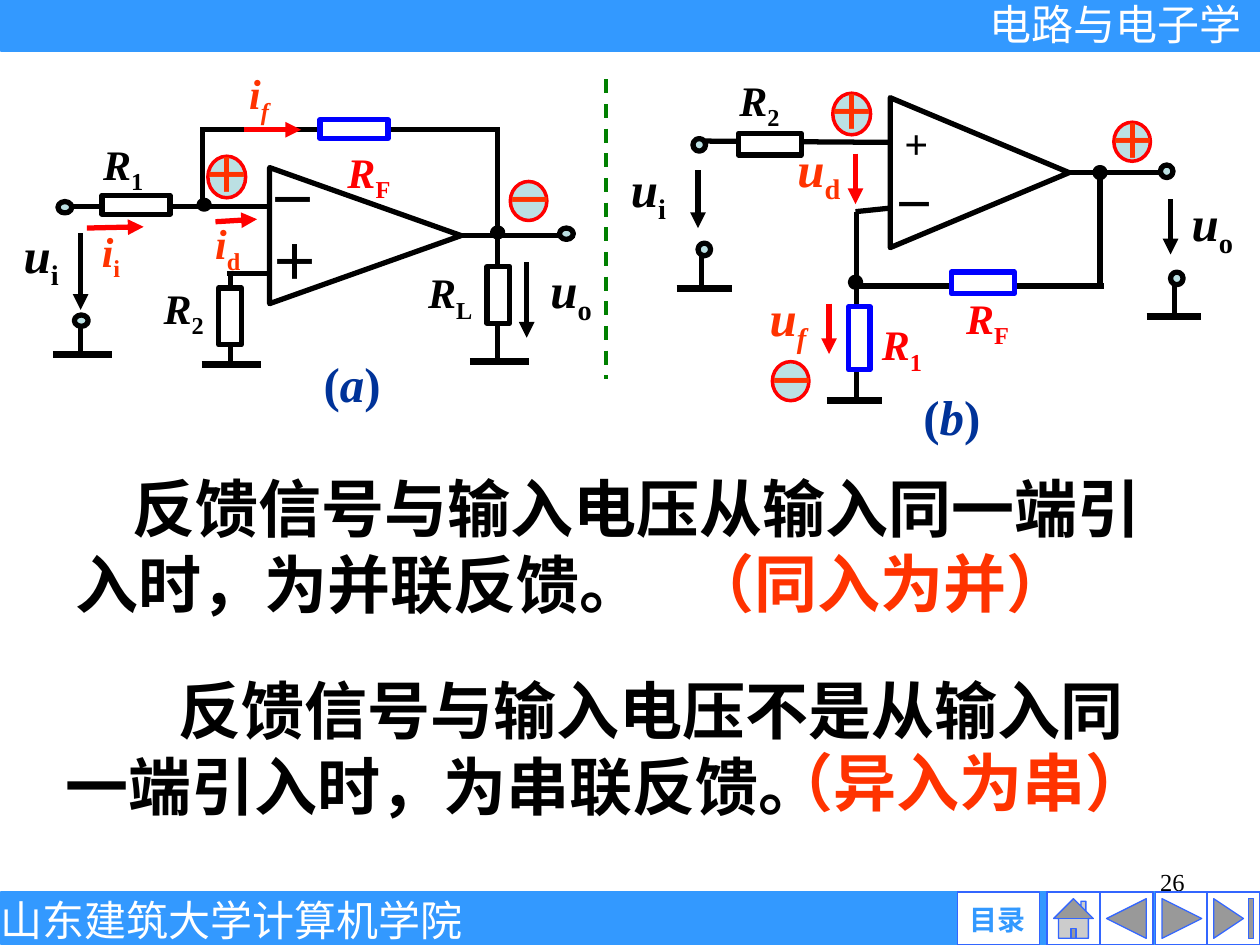
from lxml import etree
from pptx import Presentation
from pptx.dml.color import RGBColor
from pptx.enum.dml import MSO_LINE
from pptx.enum.shapes import MSO_CONNECTOR, MSO_SHAPE
from pptx.enum.text import MSO_ANCHOR, PP_ALIGN
from pptx.oxml.ns import qn
from pptx.util import Inches, Pt

BLACK = RGBColor(0x00, 0x00, 0x00)
WHITE = RGBColor(0xFF, 0xFF, 0xFF)
RED = RGBColor(0xFF, 0x00, 0x00)
ORANGE = RGBColor(0xFF, 0x33, 0x00)
BLUE = RGBColor(0x00, 0x00, 0xFF)
NAVY = RGBColor(0x00, 0x33, 0x99)
SKY = RGBColor(0x33, 0x99, 0xFF)
EDGE = RGBColor(0x33, 0x66, 0xFF)
PALE = RGBColor(0xBB, 0xE0, 0xE3)
GREEN = RGBColor(0x00, 0x80, 0x00)

RECT, OVAL = MSO_SHAPE.RECTANGLE, MSO_SHAPE.OVAL
GATE = MSO_SHAPE.ISOSCELES_TRIANGLE
HOME, BLANK = MSO_SHAPE.ACTION_BUTTON_HOME, MSO_SHAPE.ACTION_BUTTON_CUSTOM
BACK = MSO_SHAPE.ACTION_BUTTON_BACK_OR_PREVIOUS
NEXT = MSO_SHAPE.ACTION_BUTTON_FORWARD_OR_NEXT
END = MSO_SHAPE.ACTION_BUTTON_END
LEFT, MID, RIGHT = PP_ALIGN.LEFT, PP_ALIGN.CENTER, PP_ALIGN.RIGHT
CENTER = MSO_ANCHOR.MIDDLE
STRAIGHT = MSO_CONNECTOR.STRAIGHT
DASH = MSO_LINE.DASH
SERIF, SANS, HAN = "Times New Roman", "Arial", "Noto Sans CJK SC"

deck = Presentation()
deck.slide_width, deck.slide_height = Inches(10), Inches(7.5)
slide = deck.slides.add_slide(deck.slide_layouts[6])


def draw(kind, box, fill, edge, width, turn=0):
    shape = slide.shapes.add_shape(kind, *map(Inches, box))
    shape.shadow.inherit = False
    shape.rotation = turn
    if fill is None:
        shape.fill.background()
    else:
        shape.fill.solid()
        shape.fill.fore_color.rgb = fill
    shape.line.color.rgb = edge
    shape.line.width = Pt(width)


def write(box, runs, size, color, bold=True, font=SERIF, align=LEFT,
          tight=False, wrap=True, indent=0):
    frame = slide.shapes.add_textbox(*map(Inches, box)).text_frame
    frame.word_wrap = wrap
    if tight:
        frame.margin_left = frame.margin_right = 0
        frame.margin_top = frame.margin_bottom = 0
        frame.vertical_anchor = CENTER
    para = frame.paragraphs[0]
    para.alignment = align
    if indent:
        para._p.get_or_add_pPr().set("indent", str(Inches(indent)))
    for text, slant, base in runs:
        run = para.add_run()
        run.text = text
        run.font.name, run.font.size = font, Pt(size)
        run.font.bold, run.font.italic = bold, slant
        run.font.color.rgb = color
        props = run._r.get_or_add_rPr()
        if base:
            props.set("baseline", str(base * 1000))
        if not text.isascii():
            para.line_spacing = Pt(size * 1.2)
            etree.SubElement(props, qn("a:ea")).set("typeface", HAN)


write((7.17, 6.83, 2.33, 0.52), [("26", False, 0)], 14, BLACK, False, align=RIGHT)
for top in (0, 7.09):
    draw(RECT, (0.01, top, 9.99, 0.39), SKY, SKY, 3)
for kind, left, width in [(BLANK, 7.6, 0.65), (HOME, 8.31, 0.42), (BACK, 8.73, 0.42),
                          (NEXT, 9.17, 0.42), (END, 9.58, 0.42)]:
    draw(kind, (left, 7.08, width, 0.42), WHITE, EDGE, 0.75)
write((7.6, 7.16, 0.63, 0.27), [("目录", False, 0)], 16, SKY, True, SANS, MID, True)
write((7.63, -0.01, 2.44, 0.4), [("电路与电子学", False, 0)], 24, WHITE, False,
      SANS, MID, True)
write((0, 7.1, 3.67, 0.4), [("山东建筑大学计算机学院", False, 0)], 24, WHITE, False,
      SERIF, MID, True, False)

wires = [
    (1.8, 2.17, 2.16, 2.17), (0.55, 1.64, 2.13, 1.64), (3.95, 1.04, 3.95, 1.89),
    (1.61, 1.03, 1.61, 1.64), (1.59, 1.03, 3.97, 1.03), (1.83, 2.15, 1.83, 2.91),
    (3.66, 1.87, 4.56, 1.87), (3.95, 1.87, 3.95, 2.89), (0.64, 2.6, 0.64, 2.81),
    (6.79, 1.68, 7.08, 1.65), (5.59, 1.12, 7.05, 1.13), (8.73, 1.41, 8.73, 2.29),
    (6.8, 1.68, 6.8, 2.35), (6.78, 2.27, 8.76, 2.27), (8.48, 1.37, 9.32, 1.37),
    (5.57, 2.02, 5.57, 2.29), (6.8, 2.04, 6.8, 3.16), (9.32, 2.24, 9.32, 2.52),
]
earths = [
    (1.6, 2.89, 2.07, 2.89), (3.73, 2.87, 4.2, 2.87), (0.42, 2.81, 0.89, 2.81),
    (9.1, 2.51, 9.53, 2.51), (6.56, 3.18, 7, 3.18), (5.37, 2.29, 5.81, 2.29),
]
volts = [
    (0.64, 1.85, 0.64, 2.46), (4.18, 2.08, 4.18, 2.68),
    (5.54, 1.35, 5.54, 1.81), (9.29, 1.58, 9.29, 2.02),
]
flows = [
    (1.94, 1.03, 2.39, 1.03), (0.69, 1.81, 1.14, 1.8), (1.71, 1.76, 2.04, 1.74),
    (6.79, 1.22, 6.79, 1.62), (6.58, 2.41, 6.58, 2.81),
]
split = [(4.81, 0.63, 4.81, 3.01)]
for group, color, width, arrow in [
        (wires, BLACK, 3, False), (earths, BLACK, 4, False), (volts, BLACK, 3, True),
        (flows, RED, 3, True), (split, GREEN, 2, False)]:
    for ends in group:
        wire = slide.shapes.add_connector(STRAIGHT, *map(Inches, ends))
        wire.line.color.rgb = color
        wire.line.width = Pt(width)
        if group is split:
            wire.line.dash_style = DASH
        if arrow:
            tail = etree.SubElement(wire.line._get_or_add_ln(), qn("a:tailEnd"))
            tail.set("type", "triangle")
        etree.SubElement(wire._element.spPr, qn("a:effectLst"))

for box in [(2.36, 1.11, 1.08, 1.52), (7.18, 0.66, 1.19, 1.42)]:
    draw(GATE, box, None, BLACK, 3, 90)

for left, top, width, height, color, turn in [
        (0.81, 1.55, 0.54, 0.15, BLACK, 0), (2.54, 0.95, 0.54, 0.15, BLUE, 0),
        (1.6, 2.42, 0.45, 0.18, BLACK, 270), (3.73, 2.25, 0.45, 0.18, BLACK, 270),
        (5.86, 1.06, 0.5, 0.17, BLACK, 0), (7.55, 2.16, 0.5, 0.17, BLUE, 0),
        (6.57, 2.6, 0.5, 0.17, BLUE, 90)]:
    draw(RECT, (left, top, width, height), WHITE, color, 3, turn)

for width, height, fill, spots in [
        (0.11, 0.09, PALE, [(0.46, 1.6), (4.44, 1.81), (0.59, 2.5)]),
        (0.1, 0.1, PALE, [(5.5, 1.1), (9.21, 1.31), (5.54, 1.93), (9.29, 2.16)]),
        (0.08, 0.07, BLACK, [(1.58, 1.59), (3.91, 1.81)]),
        (0.08, 0.08, BLACK, [(6.75, 2.2), (8.69, 1.33)])]:
    for left, top in spots:
        draw(OVAL, (left, top, width, height), fill, BLACK, 3)

for sign, left, top, width, height in [
        ("＋", 1.65, 1.24, 0.3, 0.33), ("－", 4.05, 1.44, 0.29, 0.31),
        ("＋", 6.61, 0.74, 0.3, 0.33), ("＋", 8.84, 0.97, 0.29, 0.31),
        ("－", 6.13, 2.87, 0.29, 0.31)]:
    draw(OVAL, (left, top, width, height), PALE, RED, 2)
    write((left - 0.14, top - 0.14, 0.59, 0.57), [(sign, False, 0)], 28, ORANGE)

for sign, left, top, width, size in [
        ("＋", 2.05, 1.79, 0.59, 28), ("－", 2.03, 1.3, 0.59, 28),
        ("－", 6.99, 1.37, 0.58, 24), ("+", 7.08, 0.88, 0.67, 24)]:
    write((left, top, width, 0.57), [(sign, False, 0)], size, BLACK)

for name, sub, left, top, size, color in [
        ("u", "i", 0.09, 1.73, 28, BLACK), ("u", "o", 4.27, 2.01, 28, BLACK),
        ("R", "L", 3.3, 2.07, 24, BLACK), ("R", "2", 1.2, 2.19, 24, BLACK),
        ("R", "1", 0.72, 1.05, 24, BLACK), ("R", "F", 2.66, 1.11, 24, RED),
        ("i", "f", 1.88, 0.49, 24, ORANGE), ("i", "i", 0.71, 1.74, 24, ORANGE),
        ("i", "d", 1.61, 1.68, 24, ORANGE), ("u", "i", 4.91, 1.21, 28, BLACK),
        ("u", "o", 9.36, 1.48, 28, BLACK), ("R", "1", 6.9, 2.48, 24, RED),
        ("R", "2", 5.77, 0.54, 24, BLACK), ("R", "F", 7.57, 2.27, 24, RED),
        ("u", "d", 6.23, 1.05, 28, ORANGE), ("u", "f", 6.01, 2.23, 28, ORANGE)]:
    write((left, top, 0.66, 0.5), [(name, True, 0), (sub, sub == "f", -25)], size, color)

for name, left, top in [("a", 2.47, 2.76), ("b", 7.23, 3.02)]:
    write((left, top, 0.7, 0.57), [("(", False, 0), (name, True, 0), (")", False, 0)],
          28, NAVY)

for text, left, top, width, height, color, indent in [
        ("反馈信号与输入电压从输入同一端引入时，为并联反馈。", 0.5, 3.68, 9.1, 1.3, BLACK, 0.45),
        ("（同入为并）", 5.39, 4.27, 4.29, 0.7, ORANGE, 0),
        ("反馈信号与输入电压不是从输入同一端引入时，为串联反馈。", 0.42, 5.28, 9, 1.3, BLACK, 0.9),
        ("（异入为串）", 6.02, 5.85, 3.98, 0.7, ORANGE, 0)]:
    write((left, top, width, height), [(text, False, 0)], 36, color, indent=indent)

deck.save("out.pptx")
